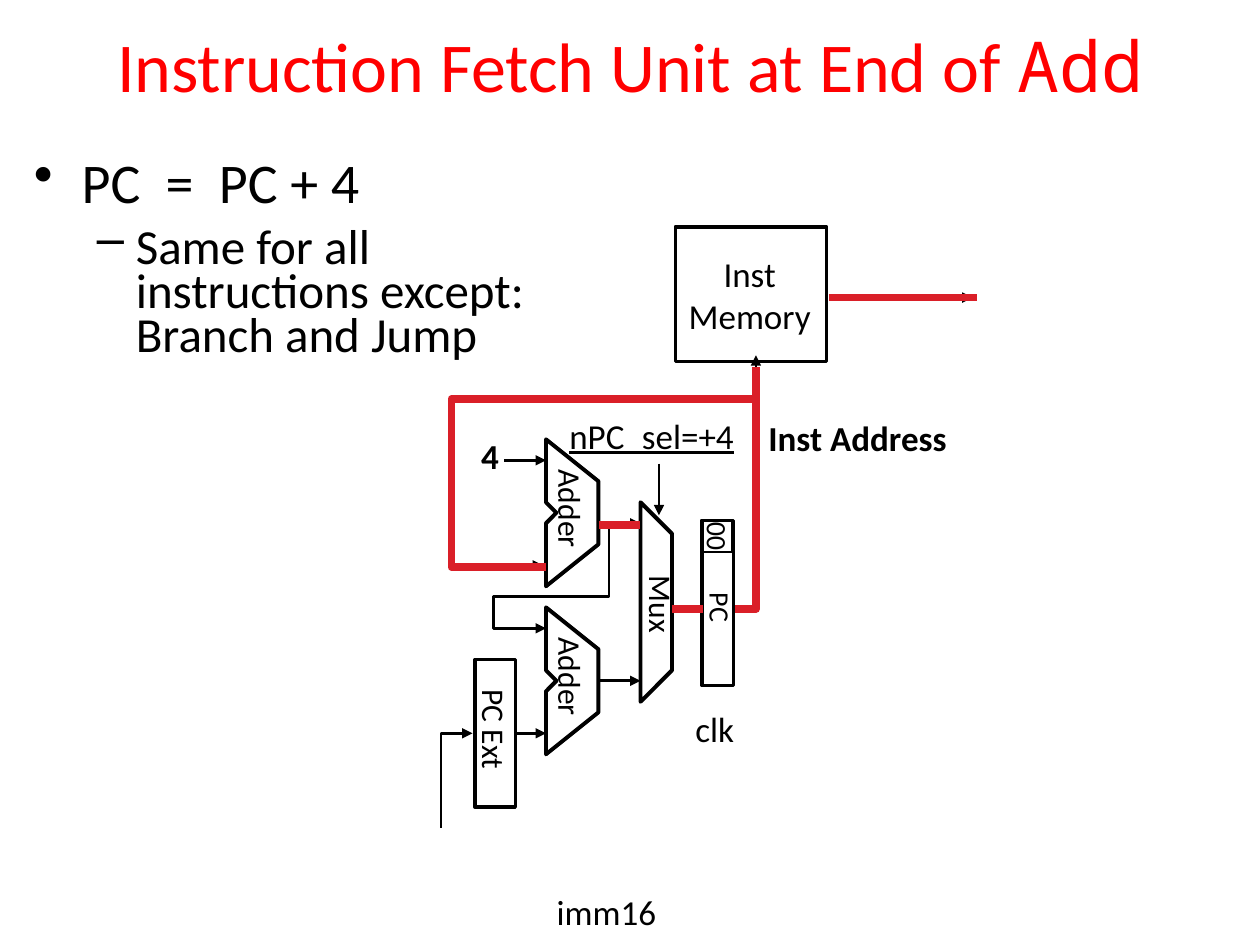
from dataclasses import dataclass

from lxml.etree import SubElement
from pptx import Presentation
from pptx.dml.color import RGBColor
from pptx.enum.shapes import MSO_CONNECTOR, MSO_SHAPE
from pptx.enum.text import MSO_ANCHOR, MSO_AUTO_SIZE, PP_ALIGN
from pptx.oxml.ns import qn
from pptx.util import Inches, Pt


@dataclass(frozen=True)
class Theme:
    font: str = "Calibri"
    code_font: str = "Noto Sans Mono"
    title_color: RGBColor = RGBColor(0xFF, 0x00, 0x00)
    ink: RGBColor = RGBColor(0x00, 0x00, 0x00)
    active: RGBColor = RGBColor(0xDA, 0x1F, 0x28)
    title_size: int = 40
    bullet_size: int = 32
    sub_bullet_size: int = 28
    label_size: int = 20
    unit_size: int = 18
    register_size: int = 16
    wire: float = 1.5
    box: float = 2
    unit: float = 2.25
    active_wire: float = 4.5


THEME = Theme()
CELL = 1 / 12  # side of a grid cell in inches
LIFT = -0.16  # idle wires and units sit this many rows above the active path
ADDER_ROWS = (42, 58)
ADDER_OUTLINE = [(0, 0), (0, 6), (1, 7), (0, 8), (0, 14), (5, 10), (5, 4)]
MUX_OUTLINE = [(61, 48), (61, 67), (64, 64), (64, 51)]


def grid(cells):
    return Inches(cells * CELL)


def style_font(font, size, color=THEME.ink, name=THEME.font):
    font.name = name
    font.size = Pt(size)
    font.color.rgb = color


def style_line(shape, color, width, arrow=False):
    shape.line.color.rgb = color
    shape.line.width = Pt(width)
    if arrow:
        SubElement(shape.line._get_or_add_ln(), qn("a:tailEnd"), type="triangle")


def add_title(slide, text, code):
    title = slide.shapes.title
    title.left, title.top = 0, Inches(0.25)
    title.width, title.height = Inches(10), Inches(0.52)
    frame = title.text_frame
    frame.auto_size = MSO_AUTO_SIZE.NONE
    frame.vertical_anchor = MSO_ANCHOR.MIDDLE
    paragraph = frame.paragraphs[0]
    paragraph.alignment = PP_ALIGN.CENTER
    for words, name in ((text, THEME.font), (code, THEME.code_font)):
        run = paragraph.add_run()
        run.text = words
        style_font(run.font, THEME.title_size, THEME.title_color, name)


def format_bullet(paragraph, character, margin, hanging, size, level=0):
    paragraph.level = level
    properties = paragraph._p.get_or_add_pPr()
    properties.set("marL", str(Inches(margin)))
    properties.set("indent", str(-Inches(hanging)))
    SubElement(properties, qn("a:buChar"), char=character)
    for run in paragraph.runs:
        style_font(run.font, size)


def add_bullets(slide, point, detail):
    box = slide.shapes.add_textbox(Inches(0.17), Inches(1.12), Inches(9.5), Inches(1.3))
    frame = box.text_frame
    frame.word_wrap = True
    first, second = frame.paragraphs[0], frame.add_paragraph()
    first.text, second.text = point, detail
    first.space_before = Pt(0.2 * THEME.bullet_size)
    second.space_before = Pt(0.3 * THEME.sub_bullet_size)
    second.line_spacing = 0.75
    format_bullet(first, "•", 0.38, 0.38, THEME.bullet_size)
    format_bullet(second, "–", 0.81, 0.31, THEME.sub_bullet_size, level=1)


def add_label(slide, text, column, row, columns, size=THEME.label_size,
              rotation=0, bold=None, underline=None, alignment=None):
    """Centre an unwrapped label on a grid point; its height follows its lines."""
    rows = 0.2 * size * len(text.split("\n")) + 1.2
    box = slide.shapes.add_textbox(grid(column - columns / 2), grid(row - rows / 2),
                                   grid(columns), grid(rows))
    box.rotation = rotation
    box.text_frame.word_wrap = False
    box.text_frame.text = text
    for paragraph in box.text_frame.paragraphs:
        paragraph.alignment = alignment
        for run in paragraph.runs:
            style_font(run.font, size)
            run.font.bold = bold
            run.font.underline = underline


def add_box(slide, column, row, columns, rows, width=THEME.box):
    box = slide.shapes.add_shape(MSO_SHAPE.RECTANGLE, grid(column), grid(row),
                                 grid(columns), grid(rows))
    box.shadow.inherit = False
    box.fill.background()
    style_line(box, THEME.ink, width)
    return box


def add_outline(slide, points, color, width, closed=False, arrow=False, lift=0):
    places = [(grid(column), grid(row + lift)) for column, row in points]
    builder = slide.shapes.build_freeform(*places[0], scale=1.0)
    builder.add_line_segments(places[1:], close=closed)
    outline = builder.convert_to_shape()
    outline.shadow.inherit = False
    outline.fill.background()
    style_line(outline, color, width, arrow)


def add_unit(slide, points):
    add_outline(slide, points, THEME.ink, THEME.unit, closed=True, lift=LIFT)


def add_wire(slide, points, color=THEME.ink, width=THEME.wire, arrow=True, lift=LIFT):
    """Draw a straight wire as a connector and a bent one as an open outline."""
    if len(points) > 2:
        add_outline(slide, points, color, width, arrow=arrow, lift=lift)
        return None
    (column, row), (end_column, end_row) = points
    wire = slide.shapes.add_connector(
        MSO_CONNECTOR.STRAIGHT, grid(column), grid(row + lift),
        grid(end_column), grid(end_row + lift))
    SubElement(wire._element.spPr, qn("a:effectLst"))
    style_line(wire, color, width, arrow)
    return wire


def add_active_wire(slide, points):
    add_wire(slide, points, THEME.active, THEME.active_wire, arrow=False, lift=0)


def add_units(slide):
    add_box(slide, 64.32, 21.6, 14.4, 12.84)
    add_label(slide, "Inst\nMemory", 71.4, 28.08, 14.64, alignment=PP_ALIGN.CENTER)
    add_box(slide, 66.84, 49.56, 3, 15.72)
    add_box(slide, 66.84, 49.56, 2.9, 3, width=1)
    add_label(slide, "PC", 68.64, 57.9, 5.28, THEME.register_size, rotation=90)
    add_label(slide, "00", 67.98, 51.06, 5.16, THEME.register_size, rotation=270)
    for top in ADDER_ROWS:
        add_label(slide, "Adder", 54.36, top + 6.6, 10.08, THEME.unit_size, rotation=90)
        add_unit(slide, [(52 + column, top + row) for column, row in ADDER_OUTLINE])
    add_label(slide, "Mux", 63, 57.6, 7.92, THEME.unit_size, rotation=90)
    add_unit(slide, MUX_OUTLINE)
    extender = add_box(slide, 45.24, 62.82, 3.84, 14.04)
    add_label(slide, "PC Ext", 47.1, 69.6, 10.2, THEME.unit_size, rotation=90)
    add_wire(slide, [(49, 70), (52, 70)]).begin_connect(extender, 3)


def add_signal_labels(slide):
    add_label(slide, "imm16", 57.84, 86.8, 12)
    add_label(slide, "clk", 68.1, 69.42, 6.12)
    add_label(slide, "4", 46.68, 43.38, 4.08, bold=True)
    add_label(slide, "nPC_sel=+4", 62.52, 41.46, 18.96, underline=True)
    add_label(slide, "Inst Address", 81.78, 41.64, 19.56, bold=True)


def add_wires(slide):
    add_wire(slide, [(62.76, 44.32), (62.76, 49.24)], width=1)
    add_wire(slide, [(79, 28.5), (92.64, 28.5)], width=THEME.box)
    add_wire(slide, [(64, 58), (67, 58)], arrow=False)
    for points in (
        [(70, 58), (72, 58), (72, 34)],
        [(72, 38), (43, 38), (43, 54), (51.72, 54)],
        [(48, 44), (52, 44)],
        [(57, 50), (61, 50)],
        [(58, 50), (58, 57), (47, 57), (47, 60), (52, 60)],
        [(42, 79), (42, 70), (45, 70)],
        [(57, 65), (61, 65)],
    ):
        add_wire(slide, points)


def add_active_path(slide):
    for points in (
        [(70, 58), (72, 58), (72, 35)],
        [(72, 38), (43, 38), (43, 54), (52, 54)],
        [(79, 28.34), (93, 28.34)],
        [(57, 50), (61, 50)],
        [(64, 58), (67, 58)],
    ):
        add_active_wire(slide, points)


def main():
    presentation = Presentation()
    presentation.slide_width, presentation.slide_height = Inches(10), Inches(7.5)
    slide = presentation.slides.add_slide(presentation.slide_layouts[5])
    add_title(slide, "Instruction Fetch Unit at End of ", "Add")
    add_bullets(slide, "PC  =  PC + 4",
                "Same for all \vinstructions except: \vBranch and Jump")
    add_units(slide)
    add_signal_labels(slide)
    add_wires(slide)
    add_active_path(slide)
    presentation.save("out.pptx")


if __name__ == "__main__":
    main()
